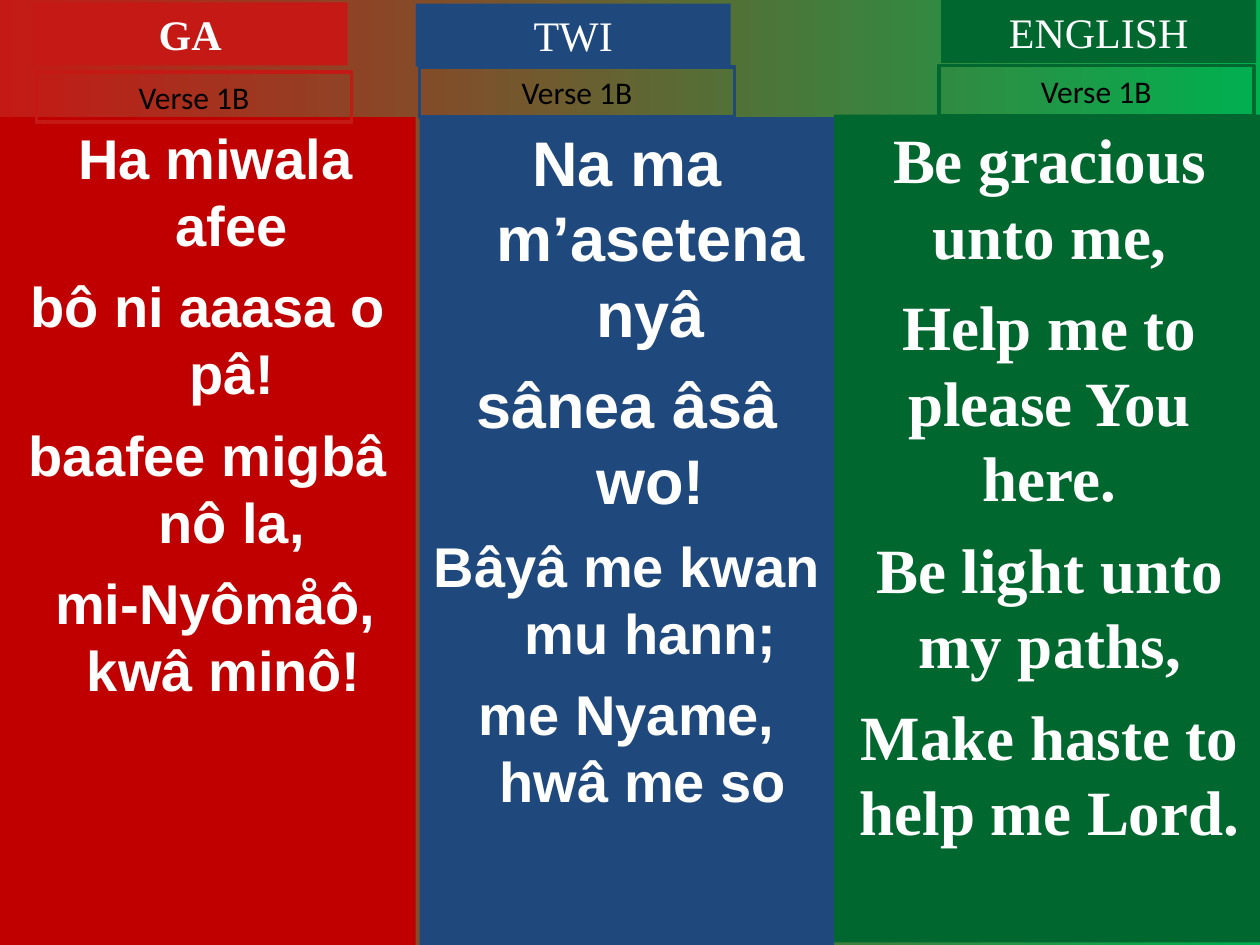
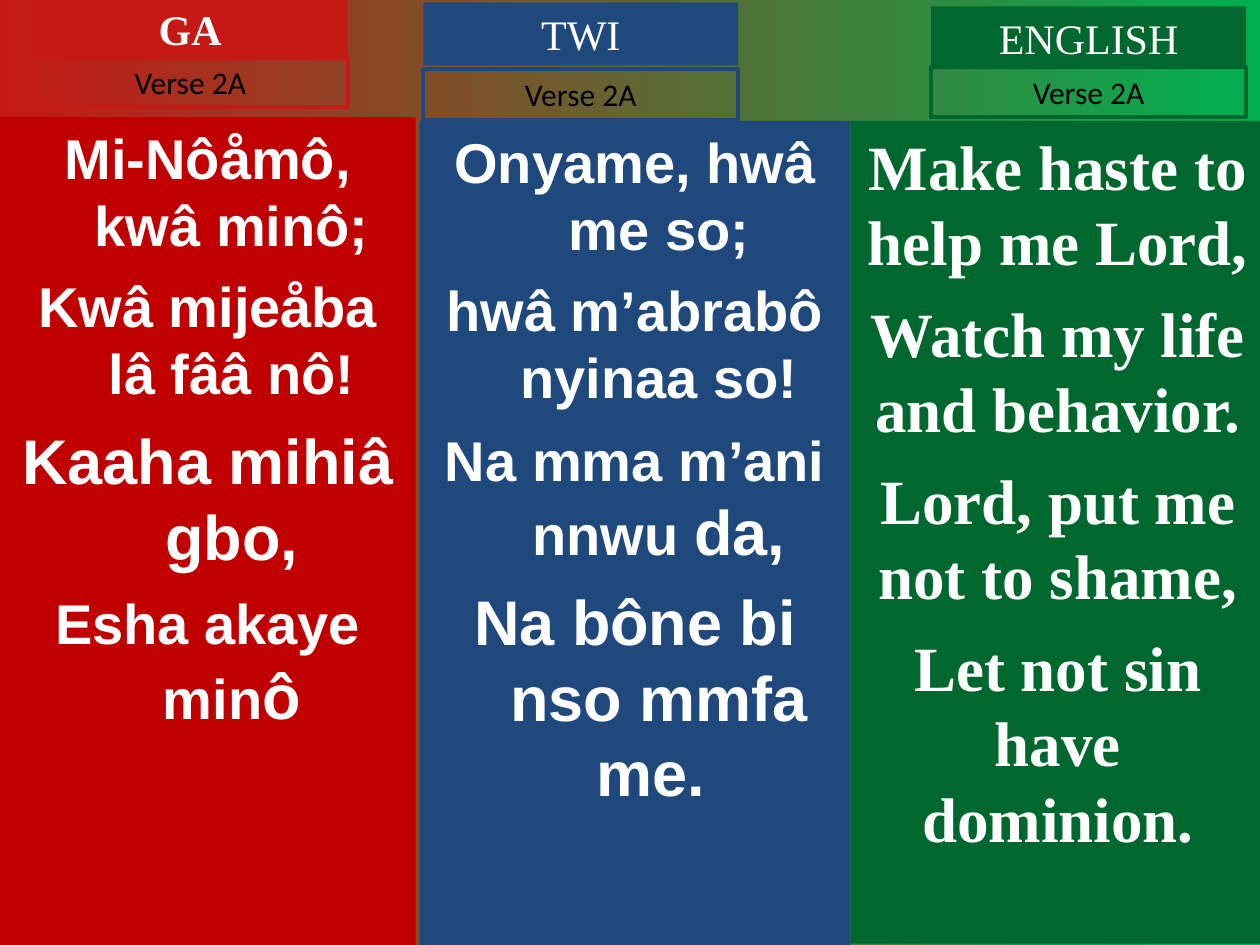
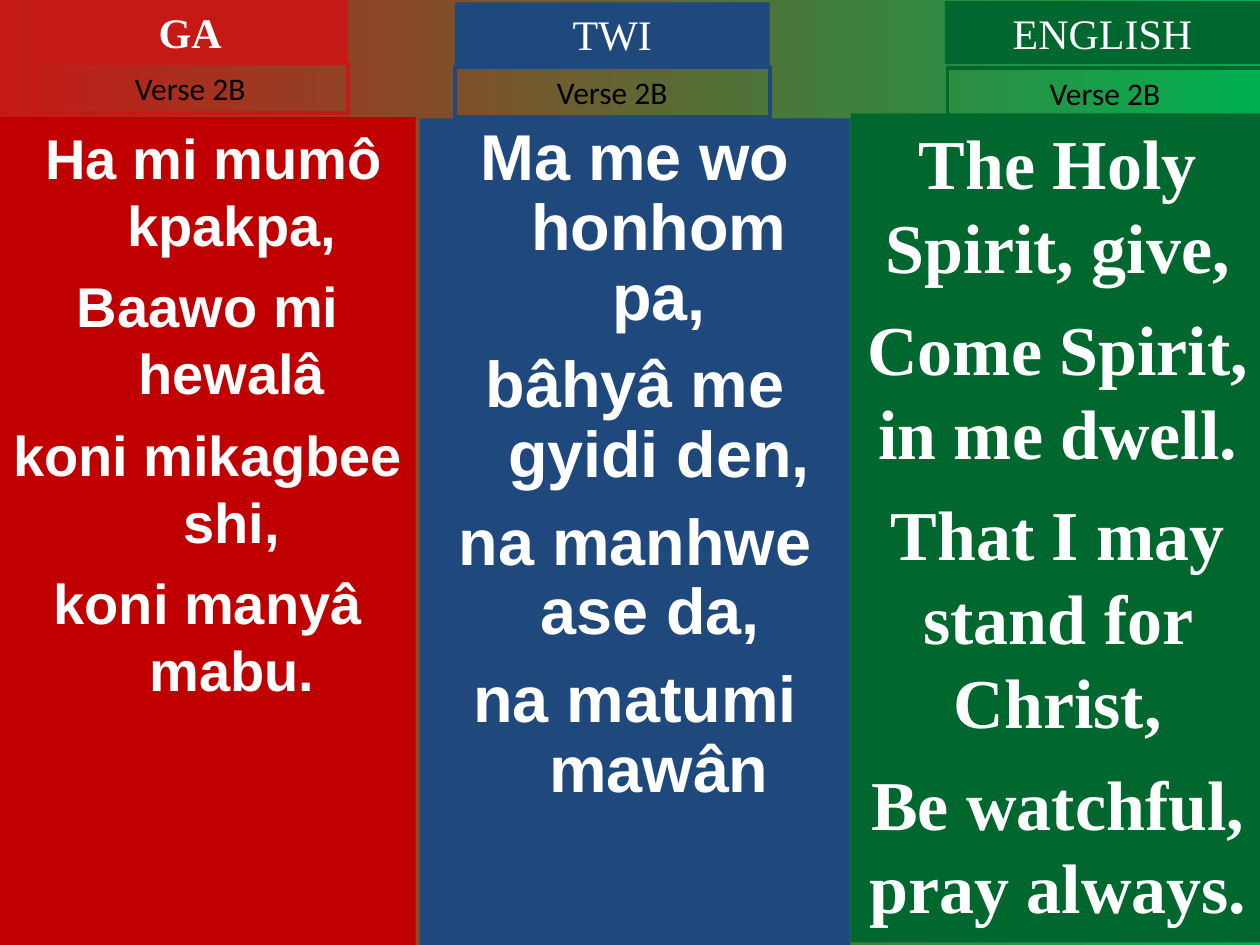
from dataclasses import dataclass
from math import ceil
from typing import NamedTuple

from pptx import Presentation
from pptx import util as u
from pptx.dml.color import RGBColor
from pptx.enum import shapes, text


@dataclass(frozen=True)
class Theme:
    sky_left: str = "C51915"
    sky_right: str = "00B050"
    white: str = "FFFFFF"
    black: str = "000000"
    title_size: int = 24
    verse_size: int = 18
    border: float = 2.25
    serif: str = "Times New Roman"
    sans: str = "Arial"
    label_font: str = "Calibri"
    label_width: float = 2.5
    title_height: float = 0.5
    verse_height: float = 0.4


THEME = Theme()


class Span(NamedTuple):
    words: str
    size: int


class Place(NamedTuple):
    left: float
    top: float
    width: float
    height: float


@dataclass(frozen=True)
class Language:
    name: str
    panel_color: str
    label_color: str
    font: str
    hanging: float = 0
    bold_title: bool = False


@dataclass(frozen=True)
class Column:
    """One language on one page; a lyric line is plain text or sized spans."""
    panel: Place
    title_at: tuple[float, float]
    verse_at: tuple[float, float]
    size: int
    lines: list[str | list[Span]]
    line_spacing: float | None = None


LANGUAGES = [
    Language("GA", "C00000", "C51915", THEME.sans, 0.38, True),
    Language("TWI", "1F497D", "1F497D", THEME.sans, 0.38),
    Language("ENGLISH", "00682F", "00682F", THEME.serif),
]

GA_PANEL = Place(0, 0.93, 3.3, 6.57)

PAGES = {
    "Verse 1B": [
        Column(GA_PANEL, (0.26, 0.02), (0.29, 0.57), 32,
               [" Ha miwala afee", "bô ni aaasa o pâ!",
                "baafee migbâ nô la,", " mi-Nyômåô, kwâ minô! "]),
        Column(Place(3.33, 0.93, 3.29, 6.57), (3.3, 0.03), (3.33, 0.53), 32,
               [[Span("Na ma m’asetena nyâ", 36)], [Span("sânea âsâ wo!", 36)],
                "Bâyâ me kwan mu hann;", "me Nyame, hwâ me so "]),
        Column(Place(6.62, 0.91, 3.42, 6.57), (7.47, 0), (7.45, 0.52), 36,
               ["Be gracious unto me,", "Help me to please You here.",
                "Be light unto my paths,", "Make haste to help me Lord."]),
    ],
    "Verse 2A": [
        Column(GA_PANEL, (0.26, -0.02), (0.26, 0.45), 32,
               ["Mi-Nôåmô, kwâ minô;", "Kwâ mijeåba lâ fââ nô!",
                [Span("Kaaha mihiâ gbo,", 36)],
                [Span("Esha akaye min", 32), Span("ô", 36)]]),
        Column(Place(3.33, 0.96, 3.42, 6.54), (3.36, 0.02), (3.36, 0.55), 32,
               ["Onyame, hwâ me so;", "hwâ m’abrabô nyinaa so!",
                [Span("Na mma m’ani nnwu ", 32), Span("da,", 36)],
                [Span("Na bône bi nso mmfa me.", 36), Span(" ", 32)]]),
        Column(Place(6.75, 0.96, 3.29, 6.53), (7.39, 0.05), (7.39, 0.53), 36,
               ["Make haste to help me Lord,", "Watch my life and behavior.",
                "Lord, put me not to shame,", "Let not sin have dominion."]),
    ],
    "Verse 2B": [
        Column(GA_PANEL, (0.26, 0), (0.26, 0.5), 32,
               [[Span(" ", 24), Span("Ha mi mumô kpakpa,", 32)], "Baawo mi hewalâ",
                "koni mikagbee shi,", "koni manyâ mabu."]),
        Column(Place(3.33, 0.94, 3.42, 6.56), (3.61, 0.02), (3.61, 0.53), 37,
               ["Ma me wo honhom pa,", "bâhyâ me gyidi den,",
                "na manhwe ase da, ", "na matumi mawân"], 0.9),
        Column(Place(6.75, 0.9, 3.29, 6.58), (7.5, 0.01), (7.52, 0.54), 40,
               ["The Holy Spirit, give,", "Come Spirit, in me dwell.",
                "That I may stand for Christ,", "Be watchful, pray always."]),
    ],
}


def rgb(color: str) -> RGBColor:
    return RGBColor.from_string(color)


def apply(target, formats: dict) -> None:
    for name, value in formats.items():
        setattr(target, name, value)


def paint_background(page) -> None:
    fill = page.background.fill
    fill.gradient()
    fill.gradient_angle = 0
    for stop, color, position in zip(
            fill.gradient_stops, (THEME.sky_left, THEME.sky_right), (0, 1)):
        stop.color.rgb = rgb(color)
        stop.position = position


def add_box(page, place: Place, fill: str | None = None, line: str | None = None):
    box = page.shapes.add_shape(shapes.MSO_SHAPE.RECTANGLE, *map(u.Inches, place))
    box.shadow.inherit = False
    if fill:
        box.fill.solid()
        box.fill.fore_color.rgb = rgb(fill)
    else:
        box.fill.background()
    if line:
        box.line.color.rgb = rgb(line)
        box.line.width = u.Pt(THEME.border)
    else:
        box.line.fill.background()
    apply(box.text_frame, {
        "word_wrap": True,
        "vertical_anchor": text.MSO_ANCHOR.TOP,
        "margin_left": u.Inches(0.1), "margin_right": u.Inches(0.1),
        "margin_top": u.Inches(0.05), "margin_bottom": u.Inches(0.05),
    })
    return box


def write(para, spans: list[Span], font: str, color: str, bold: bool) -> None:
    para.alignment = text.PP_ALIGN.CENTER
    for words, size in spans:
        span = para.add_run()
        span.text = words
        apply(span.font, {"name": font, "size": u.Pt(size), "bold": bold})
        span.font.color.rgb = rgb(color)


def add_label(box, label: Span, font: str, color: str, bold: bool = False) -> None:
    box.text_frame.auto_size = text.MSO_AUTO_SIZE.SHAPE_TO_FIT_TEXT
    write(box.text_frame.paragraphs[0], [label], font, color, bold)


def add_lyrics(page, language: Language, column: Column) -> None:
    frame = add_box(page, column.panel, fill=language.panel_color).text_frame
    for index, line in enumerate(column.lines):
        spans = [Span(line, column.size)] if isinstance(line, str) else line
        para = frame.add_paragraph() if index else frame.paragraphs[0]
        write(para, spans, language.font, THEME.white, True)
        para.space_before = u.Pt(ceil(spans[-1].size / 4) if index else 0)
        if column.line_spacing:
            para.line_spacing = column.line_spacing
        if language.hanging:
            indent = u.Inches(language.hanging)
            properties = para._p.get_or_add_pPr()
            properties.set("marL", str(indent))
            properties.set("indent", str(-indent))


def add_column(page, verse: str, language: Language, column: Column) -> None:
    add_lyrics(page, language, column)
    title_place = Place(*column.title_at, THEME.label_width, THEME.title_height)
    add_label(add_box(page, title_place, fill=language.label_color),
              Span(language.name, THEME.title_size), THEME.serif, THEME.white,
              language.bold_title)
    verse_place = Place(*column.verse_at, THEME.label_width, THEME.verse_height)
    add_label(add_box(page, verse_place, line=language.label_color),
              Span(verse, THEME.verse_size), THEME.label_font, THEME.black)


def main() -> None:
    deck = Presentation()
    apply(deck, {"slide_width": u.Inches(10), "slide_height": u.Inches(7.5)})
    for verse, columns in PAGES.items():
        page = deck.slides.add_slide(deck.slide_layouts[6])
        paint_background(page)
        for language, column in zip(LANGUAGES, columns):
            add_column(page, verse, language, column)
    deck.save("out.pptx")


if __name__ == "__main__":
    main()
